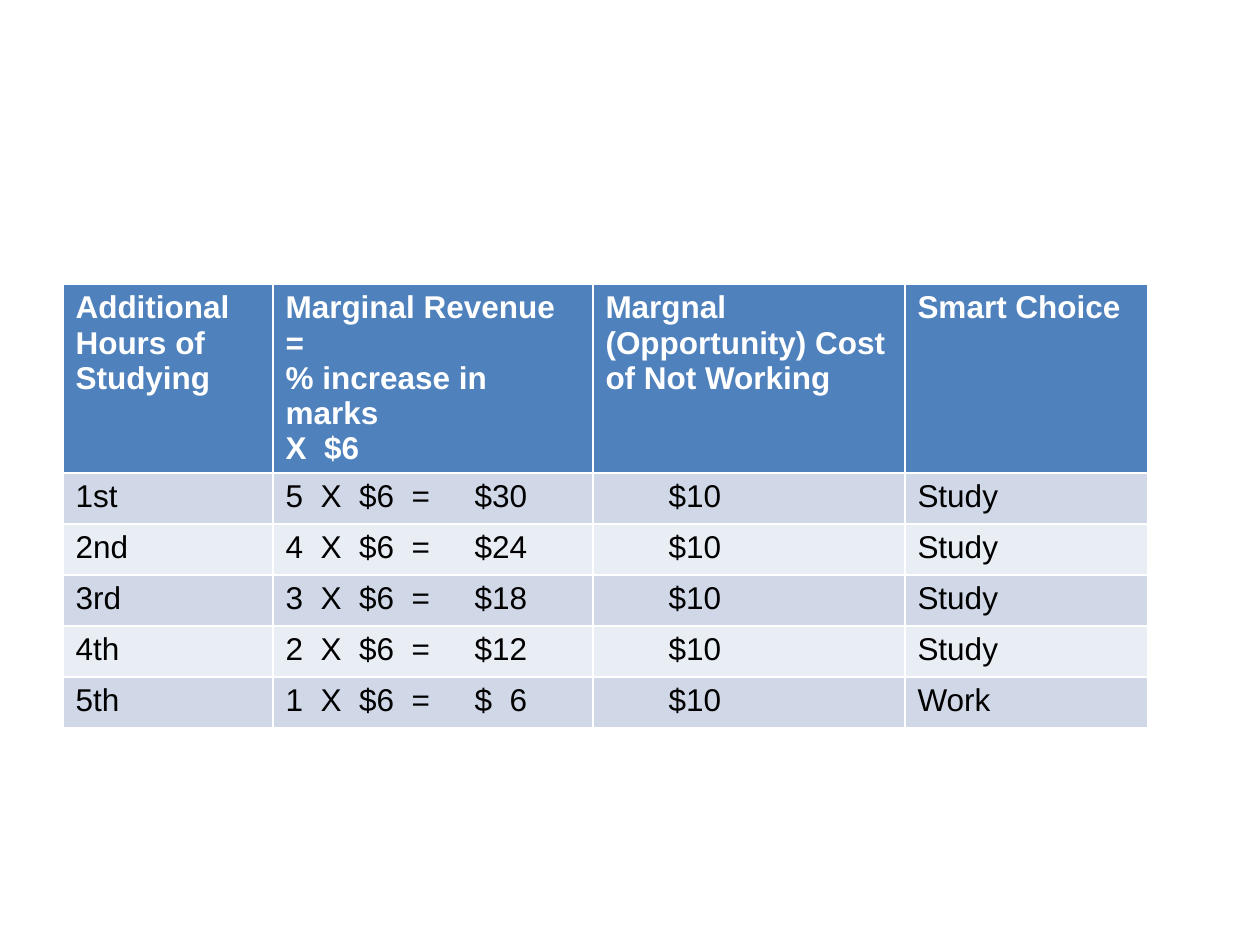
"""Build the slide weighing the marginal revenue and cost of extra study hours."""
from dataclasses import dataclass

from lxml.etree import SubElement
from pptx import Presentation
from pptx.dml.color import RGBColor
from pptx.oxml.ns import qn
from pptx.util import Pt


@dataclass(frozen=True)
class Theme:
    font: str = "Arial"
    size: Pt = Pt(18)
    header_fill: RGBColor = RGBColor(0x4F, 0x81, 0xBD)
    header_text: RGBColor = RGBColor(0xFF, 0xFF, 0xFF)
    body_fills: tuple = (RGBColor(0xD0, 0xD8, 0xE8), RGBColor(0xE9, 0xED, 0xF4))
    body_text: RGBColor = RGBColor(0x00, 0x00, 0x00)


def px(length):
    return round(length * 914400 / 126)


def add_tab_stops(paragraph, stops):
    tab_list = SubElement(paragraph._p.get_or_add_pPr(), qn("a:tabLst"))
    for stop in stops:
        SubElement(tab_list, qn("a:tab"), pos=str(px(stop)), algn="l")


theme = Theme()
column_widths = (210, 320, 312, 243)
row_height = 51
tab_stops = {1: (126, 189), 2: (63,)}

headings = (
    "Additional Hours of Studying",
    "Marginal Revenue =\v% increase in marks\vX  $6",
    "Margnal (Opportunity) Cost of Not Working",
    "Smart Choice",
)
study_hours = (
    ("1st", "5", "$30", "Study"),
    ("2nd", "4", "$24", "Study"),
    ("3rd", "3", "$18", "Study"),
    ("4th", "2", "$12", "Study"),
    ("5th", "1", "$  6", "Work"),
)
rows = [headings] + [
    (hour, f"{marks}  X  $6\t=\t{revenue}", "\t$10", choice)
    for hour, marks, revenue, choice in study_hours
]

presentation = Presentation()
presentation.slide_width = px(1260)
presentation.slide_height = px(945)
slide = presentation.slides.add_slide(presentation.slide_layouts[6])

choices_frame = slide.shapes.add_table(
    len(rows), len(headings), px(63), px(284), px(sum(column_widths)), px(382)
)
choices = choices_frame.table
for column, width in zip(choices.columns, column_widths):
    column.width = px(width)

for row_index, row in enumerate(rows):
    choices.rows[row_index].height = px(row_height)
    is_header = row_index == 0
    for column_index, wording in enumerate(row):
        cell = choices.cell(row_index, column_index)
        cell.fill.solid()
        cell.fill.fore_color.rgb = (
            theme.header_fill if is_header else theme.body_fills[(row_index - 1) % 2]
        )
        paragraph = cell.text_frame.paragraphs[0]
        paragraph.text = wording
        if not is_header and column_index in tab_stops:
            add_tab_stops(paragraph, tab_stops[column_index])
        for run in paragraph.runs:
            run.font.name = theme.font
            run.font.size = theme.size
            run.font.bold = is_header
            run.font.color.rgb = theme.header_text if is_header else theme.body_text

choices_frame.height = px(382)

presentation.save("out.pptx")
